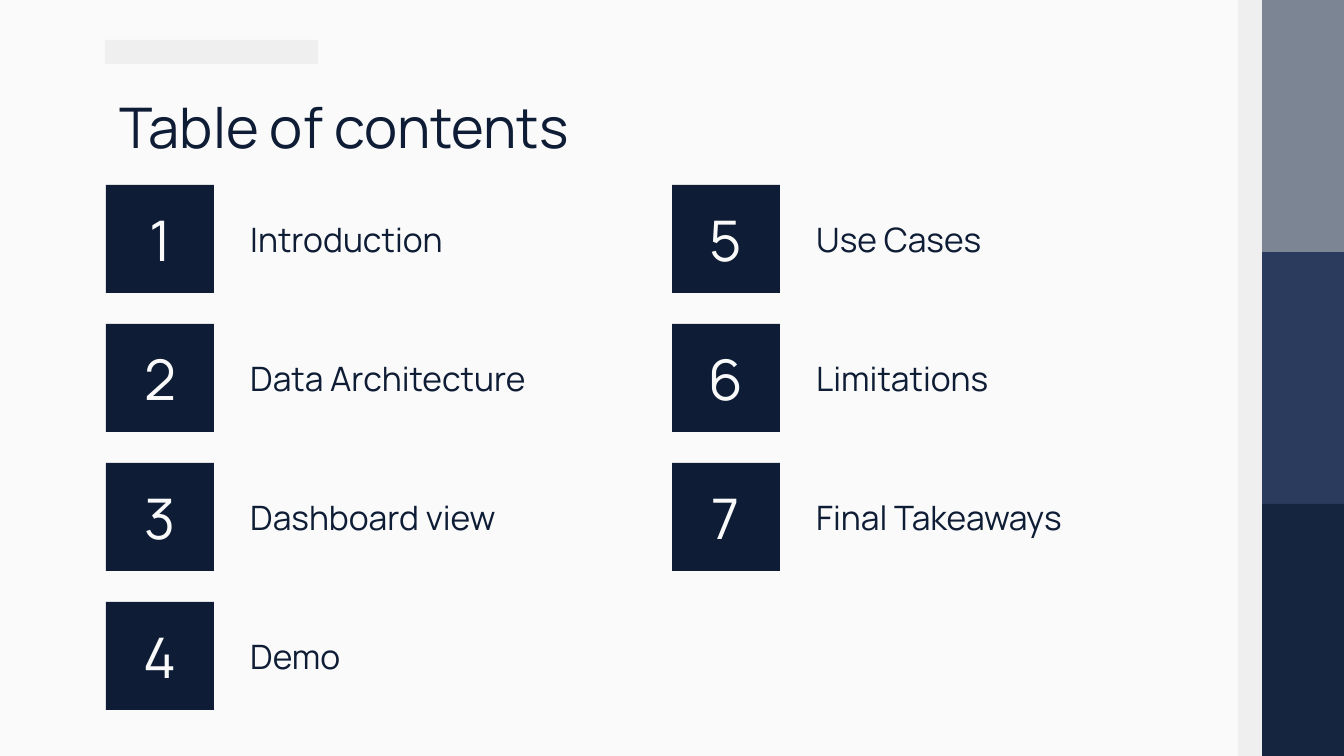
from pptx import Presentation
from pptx import util as u
from pptx.dml.color import RGBColor
from pptx.enum import shapes, text

TITLE = "Table of contents"
TOPICS = ["Introduction", "Data Architecture", "Dashboard view", "Demo",
          "Use Cases", "Limitations", "Final Takeaways"]
FONT = "Manrope"
NAVY, PAPER, MIST = "0E1D35", "FAFAFA", "EFEFEF"
BAND_COLORS = ["7C8594", "2B3B5D", "15253F"]

WIDTH, HEIGHT = 1344, 756
SCALE = u.Inches(10) / WIDTH
ROWS = 4
LEFT, TOP = 106, 185
COLUMN_STEP, ROW_STEP = 566, 139
TILE, LABEL_OFFSET = 108, 131
LABEL_WIDTH, LABEL_HEIGHT = 411, 64
BAND_LEFT, STRIP_WIDTH = 1262, 24


def px(value):
    return u.Emu(round(value * SCALE))


def color(value):
    return RGBColor.from_string(value)


def write(box, words, size=18, fill=NAVY, align=text.PP_ALIGN.LEFT,
          anchor=text.MSO_ANCHOR.MIDDLE):
    frame = box.text_frame
    frame.word_wrap = True
    frame.auto_size = text.MSO_AUTO_SIZE.NONE
    frame.vertical_anchor = anchor
    frame.margin_left = frame.margin_right = u.Inches(0.1)
    frame.margin_top = frame.margin_bottom = u.Inches(0.1)
    para = frame.paragraphs[0]
    para.alignment = align
    span = para.add_run()
    span.text = words
    span.font.name = FONT
    span.font.size = u.Pt(size)
    span.font.color.rgb = color(fill)


def add_block(page, left, top, width, height, fill):
    block = page.shapes.add_shape(shapes.MSO_SHAPE.RECTANGLE,
                                  px(left), px(top), px(width), px(height))
    block.shadow.inherit = False
    block.fill.solid()
    block.fill.fore_color.rgb = color(fill)
    block.line.fill.background()
    return block


def add_topic(page, index, topic):
    column, row = divmod(index, ROWS)
    left = LEFT + column * COLUMN_STEP
    top = TOP + row * ROW_STEP
    tile = add_block(page, left, top, TILE, TILE, NAVY)
    write(tile, str(index + 1), size=30, fill=PAPER, align=text.PP_ALIGN.CENTER)
    label = page.shapes.add_textbox(
        px(left + LABEL_OFFSET), px(top + (TILE - LABEL_HEIGHT) / 2),
        px(LABEL_WIDTH), px(LABEL_HEIGHT))
    write(label, topic)


def main():
    deck = Presentation()
    deck.slide_width, deck.slide_height = px(WIDTH), px(HEIGHT)
    page = deck.slides.add_slide(deck.slide_layouts[5])
    page.background.fill.solid()
    page.background.fill.fore_color.rgb = color(PAPER)

    band_height = HEIGHT / len(BAND_COLORS)
    for index, fill in enumerate(BAND_COLORS):
        add_block(page, BAND_LEFT, index * band_height,
                  WIDTH - BAND_LEFT, band_height, fill)
    add_block(page, BAND_LEFT - STRIP_WIDTH, 0, STRIP_WIDTH, HEIGHT, MIST)
    add_block(page, 105, 40, 213, 24, MIST)

    title = page.shapes.title
    title.left, title.top = px(LEFT), px(79)
    title.width, title.height = px(1133), px(85)
    write(title, TITLE, size=30, anchor=text.MSO_ANCHOR.TOP)

    for index, topic in enumerate(TOPICS):
        add_topic(page, index, topic)
    deck.save("out.pptx")


if __name__ == "__main__":
    main()
